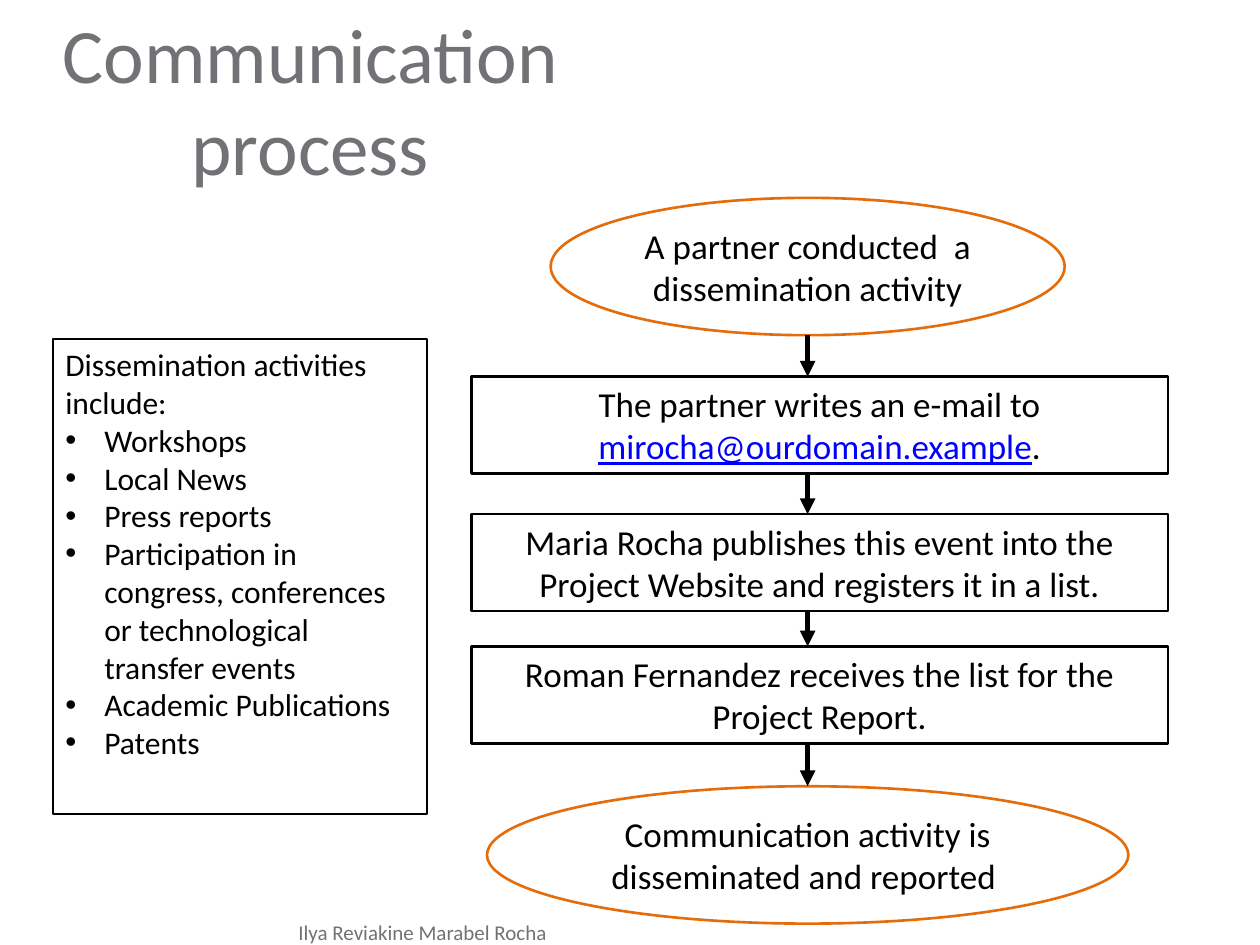
import pptx
import pptx.util
import pptx.dml.color
import pptx.enum.shapes
import pptx.enum.text
from dataclasses import dataclass
from pptx.util import Inches

SHAPE = pptx.enum.shapes.MSO_SHAPE
ALIGN = pptx.enum.text.PP_ALIGN
ANCHOR = pptx.enum.text.MSO_ANCHOR


@dataclass(frozen=True)
class Theme:
    font: str = "Calibri"
    ink: str = "000000"
    muted: str = "727176"
    accent: str = "E46C0A"
    link: str = "0000FF"
    title: int = 44
    step: int = 20
    body: int = 18
    footer: int = 12
    outline: float = 1.5
    arrow: float = 3


THEME = Theme()
BULLET_INDENT = Inches(0.31)


def rgb(value):
    return pptx.dml.color.RGBColor.from_string(value)


def write(para, text, size=THEME.step, color=THEME.ink, align=ALIGN.LEFT, underline=None):
    """Append a formatted span to a paragraph."""
    para.alignment = align
    span = para.add_run()
    span.text = text
    span.font.name = THEME.font
    span.font.size = pptx.util.Pt(size)
    span.font.color.rgb = rgb(color)
    span.font.underline = underline


def add_label(page, box, text, anchor=ANCHOR.TOP, **style):
    frame = page.shapes.add_textbox(*map(Inches, box)).text_frame
    frame.word_wrap = True
    frame.vertical_anchor = anchor
    write(frame.paragraphs[0], text, **style)


def add_outline(page, box, kind, color):
    """Draw an unfilled shape and return its text frame."""
    shape = page.shapes.add_shape(kind, *map(Inches, box))
    shape.shadow.inherit = False
    shape.fill.background()
    shape.line.color.rgb = rgb(color)
    shape.line.width = pptx.util.Pt(THEME.outline)
    frame = shape.text_frame
    frame.word_wrap = True
    frame.vertical_anchor = ANCHOR.TOP
    return frame


def add_bullet(para):
    props = para._p.get_or_add_pPr()
    props.set("marL", str(BULLET_INDENT))
    props.set("indent", str(-BULLET_INDENT))
    font = pptx.oxml.xmlchemy.OxmlElement("a:buFont")
    font.set("typeface", "Arial")
    mark = pptx.oxml.xmlchemy.OxmlElement("a:buChar")
    mark.set("char", "•")
    props.extend([font, mark])


def add_activities(page, box, heading, activities):
    frame = add_outline(page, box, SHAPE.RECTANGLE, THEME.ink)
    write(frame.paragraphs[0], heading, size=THEME.body)
    for activity in activities:
        para = frame.add_paragraph()
        write(para, activity, size=THEME.body)
        add_bullet(para)


def add_arrow(page, x, top, bottom):
    arrow = page.shapes.add_connector(
        pptx.enum.shapes.MSO_CONNECTOR.STRAIGHT, *map(Inches, (x, top, x, bottom)))
    arrow.line.color.rgb = rgb(THEME.ink)
    arrow.line.width = pptx.util.Pt(THEME.arrow)
    head = pptx.oxml.xmlchemy.OxmlElement("a:tailEnd")
    head.set("type", "triangle")
    arrow.line._get_or_add_ln().append(head)
    arrow._element.spPr.append(pptx.oxml.xmlchemy.OxmlElement("a:effectLst"))


def add_flow(page, box, steps):
    """Stack the steps, joining each to the next along one axis."""
    left, top, width, axis = box
    previous_bottom = None
    for offset, height, oval_width, spans in steps:
        y = top + offset
        if oval_width:
            place = (axis - oval_width / 2, y, oval_width, height)
            frame = add_outline(page, place, SHAPE.OVAL, THEME.accent)
        else:
            place = (left, y, width, height)
            frame = add_outline(page, place, SHAPE.RECTANGLE, THEME.ink)
        for text, style in spans:
            write(frame.paragraphs[0], text, align=ALIGN.CENTER, **style)
        if previous_bottom is not None:
            add_arrow(page, axis, previous_bottom, y)
        previous_bottom = y + height


def main():
    deck = pptx.Presentation()
    deck.slide_width, deck.slide_height = Inches(10), Inches(7.5)
    page = deck.slides.add_slide(deck.slide_layouts[6])

    # Title and footer
    add_label(page, (0.18, 0, 4.57, 0.66), "Communication process",
              size=THEME.title, color=THEME.muted, align=ALIGN.CENTER)
    add_label(page, (2.27, 7.25, 2.73, 0.3), "Ilya Reviakine Marabel Rocha",
              anchor=ANCHOR.MIDDLE, size=THEME.footer, color=THEME.muted)

    # List of activities
    add_activities(page, (0.42, 2.69, 2.97, 3.77), "Dissemination activities include:", [
        "Workshops",
        "Local News",
        "Press reports",
        "Participation in congress, conferences or technological transfer events",
        "Academic Publications",
        "Patents",
    ])

    # Flow: offset from top, height, oval width (None for a box), spans
    add_flow(page, (3.74, 1.57, 5.53, 6.41), [
        (0, 1.09, 4.08, [("A partner conducted  a dissemination activity", {})]),
        (1.42, 0.77, None, [
            ("The partner writes an e-mail to ", {}),
            ("mirocha@ourdomain.example", {"color": THEME.link, "underline": True}),
            (".", {}),
        ]),
        (2.51, 0.77, None, [("Maria Rocha publishes this event into the Project Website "
                             "and registers it in a list.", {})]),
        (3.56, 0.77, None, [("Roman Fernandez receives the list for the Project Report.", {})]),
        (4.67, 1.09, 5.09, [("Communication activity is disseminated and reported ", {})]),
    ])

    deck.save("out.pptx")


if __name__ == "__main__":
    main()
